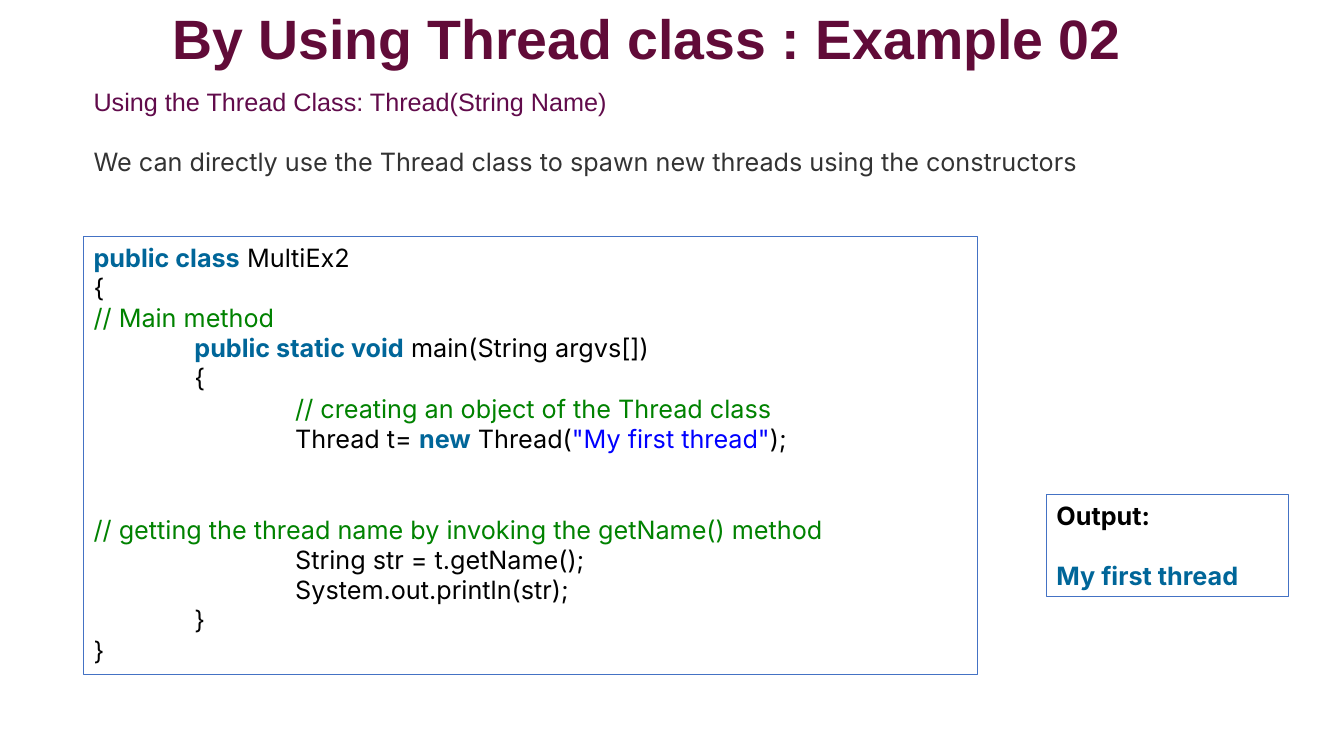
import pptx
import pptx.dml.color
import pptx.enum.shapes
import pptx.enum.text
import pptx.util

Inches, Pt = pptx.util.Inches, pptx.util.Pt
ALIGN = pptx.enum.text.PP_ALIGN
ANCHOR = pptx.enum.text.MSO_ANCHOR
COLORS = {
    "title": "610B38", "subtitle": "610B4B", "body": "333333",
    "plain": "000000", "keyword": "006699", "comment": "008200",
    "string": "0000FF", "border": "4472C4",
}
LINE = 21.6  # height of one 18 pt code line

# Each line: space before in points, then (text, colour) runs
CODE = [
    (0, [("public class", "keyword"), (" MultiEx2", "plain")]),
    (0, [("{", "plain")]),
    (0, [("// Main method", "comment")]),
    (0, [("\tpublic static void", "keyword"), (" main(String argvs[])", "plain")]),
    (0, [("\t{", "plain")]),
    (0, [("\t\t// creating an object of the Thread class", "comment")]),
    (0, [("\t\tThread t= ", "plain"), ("new", "keyword"), (" Thread(", "plain"),
         ('"My first thread"', "string"), (");", "plain")]),
    (2 * LINE, [("// getting the thread name by invoking the getName() method", "comment")]),
    (0, [("\t\tString str = t.getName();", "plain")]),
    (0, [("\t\tSystem.out.println(str);", "plain")]),
    (0, [("\t}", "plain")]),
    (0, [("}", "plain")]),
]
OUTPUT = [(0, [("Output:", "plain")]), (LINE, [("My first thread", "keyword")])]
INTRO = [
    (0, [("Using the Thread Class: Thread(String Name)", "subtitle")]),
    (21, [("We can directly use the Thread class to spawn new threads "
           "using the constructors", "body")]),
]


def add_run(p, text, color, **formats):
    r = p.add_run()
    r.text = text
    r.font.color.rgb = pptx.dml.color.RGBColor.from_string(COLORS[color])
    for name, value in formats.items():
        setattr(r.font, name, value)


def write_lines(tf, lines, bold=False):
    tf.word_wrap = True
    tf.vertical_anchor = ANCHOR.TOP
    for i, (gap, runs) in enumerate(lines):
        p = tf.paragraphs[0] if i == 0 else tf.add_paragraph()
        p.alignment = ALIGN.JUSTIFY
        # One-inch tab steps for the code indents
        p._p.get_or_add_pPr().set("defTabSz", str(Inches(1)))
        if gap:
            p.space_before = Pt(gap)
        for text, color in runs:
            add_run(p, text, color, size=Pt(18), bold=bold or color == "keyword",
                    name="Arial" if color == "subtitle" else "Inter")


def add_title(s, box, text):
    title = s.shapes.title
    title.left, title.top, title.width, title.height = map(Inches, box)
    tf = title.text_frame
    tf.auto_size = pptx.enum.text.MSO_AUTO_SIZE.NONE
    tf.vertical_anchor = ANCHOR.MIDDLE
    p = tf.paragraphs[0]
    p.alignment = ALIGN.CENTER
    p.line_spacing = 0.9
    add_run(p, text, "title", size=Pt(39.6), bold=True, name="Arial")


def add_intro(s, box):
    write_lines(s.shapes.add_textbox(*map(Inches, box)).text_frame, INTRO)


def add_panel(s, box, lines, bold=False):
    sp = s.shapes.add_shape(pptx.enum.shapes.MSO_SHAPE.RECTANGLE, *map(Inches, box))
    sp.shadow.inherit = False
    sp.fill.background()
    sp.line.color.rgb = pptx.dml.color.RGBColor.from_string(COLORS["border"])
    sp.line.width = Pt(0.75)
    write_lines(sp.text_frame, lines, bold)


def main():
    prs = pptx.Presentation()
    prs.slide_width, prs.slide_height = Inches(13.33), Inches(7.5)
    s = prs.slides.add_slide(prs.slide_layouts[5])
    add_title(s, (0.43, 0.04, 11.97, 0.74), "By Using Thread class : Example 02")
    add_panel(s, (0.83, 2.35, 8.87, 4.34), CODE)
    add_panel(s, (10.38, 4.91, 2.4, 1.01), OUTPUT, bold=True)
    add_intro(s, (0.83, 0.81, 11.36, 1.01))
    prs.save("out.pptx")


if __name__ == "__main__":
    main()
